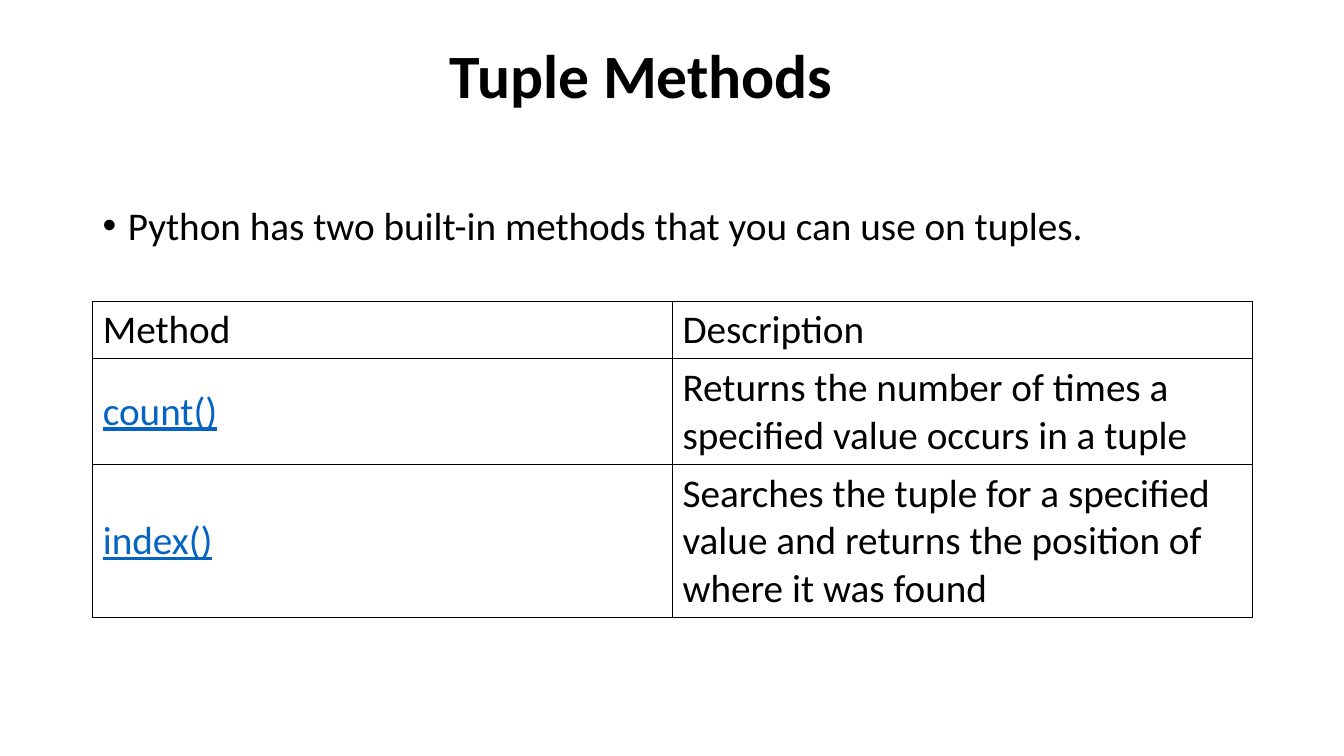
"""Build the Tuple Methods slide."""
from dataclasses import dataclass

import lxml.etree
import pptx
import pptx.dml.color
import pptx.enum.text
import pptx.oxml.ns
import pptx.util

Inches = pptx.util.Inches
Pt = pptx.util.Pt
qn = pptx.oxml.ns.qn
ANCHOR = pptx.enum.text.MSO_ANCHOR
BLACK = "000000"
LINK_BLUE = "0563C1"
LEFT, WIDTH = 0.92, 11.5


@dataclass
class TableRow:
    method: str
    description: str
    height: float
    linked: bool = True


ROWS = [
    TableRow("Method", "Description", 0.57, linked=False),
    TableRow("count()", "Returns the number of times a specified value occurs in a tuple", 1.05),
    TableRow(
        "index()",
        "Searches the tuple for a specified value and returns the position of where it was found",
        1.52,
    ),
]


def rgb(color: str) -> pptx.dml.color.RGBColor:
    return pptx.dml.color.RGBColor.from_string(color)


def set_text(p, text: str, size: float, color: str = BLACK, bold: bool = False,
             underline: bool = False) -> None:
    p.text = text
    for r in p.runs:
        r.font.name = "Calibri"
        r.font.size = Pt(size)
        r.font.bold = bold
        r.font.underline = underline
        r.font.color.rgb = rgb(color)


def add_text(s, text: str, top: float, height: float, size: float, bold: bool = False):
    sp = s.shapes.add_textbox(Inches(LEFT), Inches(top), Inches(WIDTH), Inches(height))
    tf = sp.text_frame
    tf.word_wrap = True
    p = tf.paragraphs[0]
    set_text(p, text, size, bold=bold)
    p.line_spacing = 0.9
    return sp


def add_bullet(p, indent: float) -> None:
    pPr = p._p.get_or_add_pPr()
    pPr.set("marL", str(Inches(indent)))
    pPr.set("indent", str(-Inches(indent)))
    lxml.etree.SubElement(pPr, qn("a:buFont"), typeface="Arial")
    lxml.etree.SubElement(pPr, qn("a:buChar"), char="•")


def set_borders(cell, color: str, width: float) -> None:
    tcPr = cell._tc.get_or_add_tcPr()
    for i, side in enumerate(("lnL", "lnR", "lnT", "lnB")):
        ln = lxml.etree.Element(qn(f"a:{side}"), w=str(Pt(width)))
        fill = lxml.etree.SubElement(ln, qn("a:solidFill"))
        lxml.etree.SubElement(fill, qn("a:srgbClr"), val=color)
        tcPr.insert(i, ln)


def fill_cell(cell, text: str, linked: bool) -> None:
    cell.fill.background()
    cell.vertical_anchor = ANCHOR.MIDDLE
    set_text(cell.text_frame.paragraphs[0], text, 28,
             LINK_BLUE if linked else BLACK, underline=linked)
    set_borders(cell, BLACK, 1)


def add_methods_table(s, rows: list[TableRow], top: float) -> None:
    height = sum(row.height for row in rows)
    table = s.shapes.add_table(len(rows), 2, Inches(LEFT), Inches(top),
                               Inches(WIDTH), Inches(height)).table
    table.first_row = False
    table.horz_banding = False
    for i, row in enumerate(rows):
        table.rows[i].height = Inches(row.height)
        fill_cell(table.cell(i, 0), row.method, row.linked)
        fill_cell(table.cell(i, 1), row.description, False)


def main() -> None:
    prs = pptx.Presentation()
    prs.slide_width, prs.slide_height = Inches(13.33), Inches(7.5)
    s = prs.slides.add_slide(prs.slide_layouts[6])
    title = add_text(s, "Tuple Methods", 0.4, 1.45, 44, bold=True)
    title.text_frame.margin_left = Inches(3.54)
    body = add_text(s, "Python has two built-in methods that you can use on tuples.", 2, 4.76, 28)
    add_bullet(body.text_frame.paragraphs[0], 0.25)
    add_methods_table(s, ROWS, 2.99)
    prs.save("out.pptx")


main()
